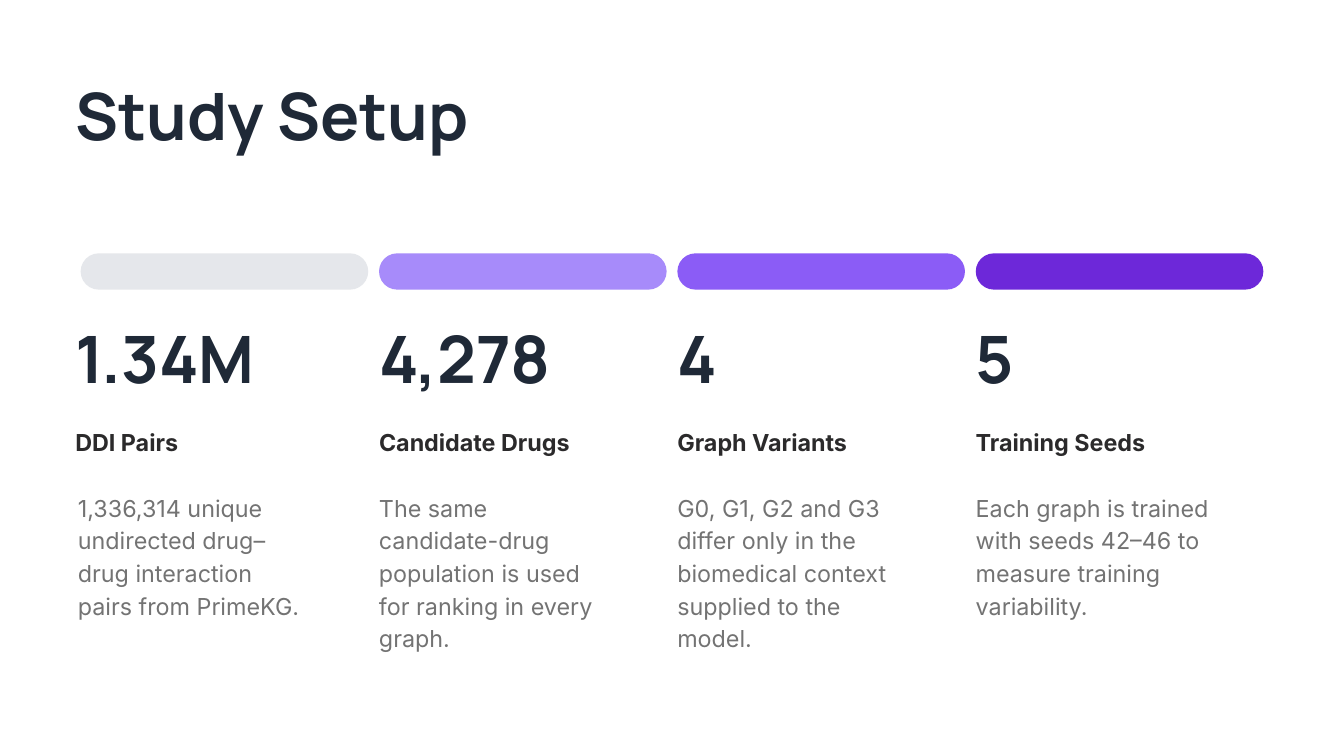
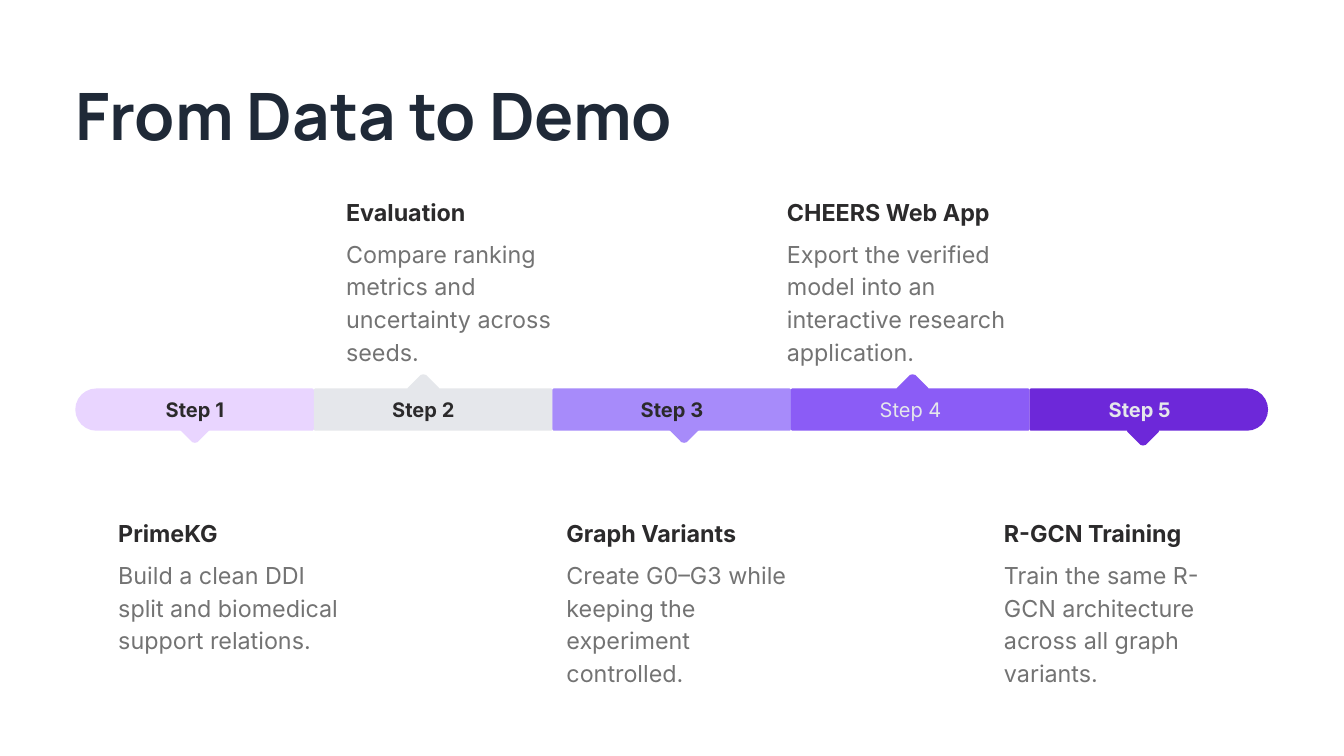
from dataclasses import dataclass

from pptx import Presentation
from pptx import util as u
from pptx.dml.color import RGBColor
from pptx.enum import shapes, text


@dataclass(frozen=True)
class Theme:
    """Colours, fonts and type sizes shared by both slides."""
    ink: str = "1F2937"
    heading: str = "2B2A2B"
    body: str = "737373"
    grey: str = "E5E7EB"
    pale: str = "E9D5FF"
    lilac: str = "A78BFA"
    violet: str = "8B5CF6"
    purple: str = "6D28D9"
    display_font: str = "Manrope"
    text_font: str = "Inter"
    display_size: float = 70
    text_size: float = 25
    step_size: float = 21.5
    leading: float = 1.4
    margin: float = 1.12


THEME = Theme()
LINE = THEME.text_size * THEME.leading / 72
BAR_TOP, BAR_HEIGHT, BAR_STEP = 5.78, 0.63, 3.55
POINTER = [(-0.22, 0), (0.22, 0), (0.24, 0.02), (0.23, 0.04), (0.04, 0.23),
           (0, 0.24), (-0.04, 0.23), (-0.23, 0.04), (-0.24, 0.02)]


def add_text(page, words, left, top, width, lines=1, size=THEME.text_size,
             font=THEME.text_font, color=THEME.body, bold=False,
             align=text.PP_ALIGN.LEFT):
    """Add a text box without margins whose height follows its line count."""
    height = lines * size * THEME.leading / 72
    box = page.shapes.add_textbox(*map(u.Inches, (left, top, width, height)))
    frame = box.text_frame
    frame.margin_left = frame.margin_right = 0
    frame.margin_top = frame.margin_bottom = 0
    frame.word_wrap = True
    frame.auto_size = text.MSO_AUTO_SIZE.SHAPE_TO_FIT_TEXT
    para = frame.paragraphs[0]
    para.alignment = align
    para.line_spacing = u.Pt(round(size * THEME.leading, 1))
    span = para.add_run()
    span.text = words
    span.font.name = font
    span.font.size = u.Pt(size)
    span.font.bold = bold
    span.font.color.rgb = RGBColor.from_string(color)


def add_display(page, words, left, top, width, lines=1):
    """Add large text in the title style."""
    add_text(page, words, left, top, width, lines, size=THEME.display_size,
             font=THEME.display_font, color=THEME.ink, bold=True)


def add_heading(page, words, left, top, width):
    """Add a bold heading."""
    add_text(page, words, left, top, width, color=THEME.heading, bold=True)


def add_page(deck, title, width, lines=1):
    """Add a blank slide with its title."""
    page = deck.slides.add_slide(deck.slide_layouts[6])
    add_display(page, title, THEME.margin, 0.92, width, lines)
    return page


def paint(shape, color):
    """Give a shape a flat fill without line or shadow."""
    shape.shadow.inherit = False
    shape.fill.solid()
    shape.fill.fore_color.rgb = RGBColor.from_string(color)
    shape.line.fill.background()


def add_bar(page, left, top, width, height, color, rounding):
    """Add a rounded bar."""
    bar = page.shapes.add_shape(shapes.MSO_SHAPE.ROUNDED_RECTANGLE,
                                *map(u.Inches, (left, top, width, height)))
    bar.adjustments[0] = rounding
    paint(bar, color)


def add_end_bar(page, left, top, width, height, color, turn):
    """Add a bar with one round end by turning an upright shape."""
    shift = (width - height) / 2
    bar = page.shapes.add_shape(shapes.MSO_SHAPE.ROUND_2_SAME_RECTANGLE,
                                *map(u.Inches, (left + shift, top - shift, height, width)))
    bar.adjustments[0], bar.adjustments[1] = 0.5, 0.04
    bar.rotation = turn
    paint(bar, color)


def add_pointer(page, center, base, color, direction):
    """Add a blunt triangle that points down (1) or up (-1)."""
    points = [(u.Inches(center + x), u.Inches(base + direction * y)) for x, y in POINTER]
    outline = page.shapes.build_freeform(*points[0])
    outline.add_line_segments(points[1:], close=True)
    paint(outline.convert_to_shape(), color)


def add_setup(deck):
    """Build the slide with four key figures."""
    page = add_page(deck, "Study Setup", 7.52)
    figures = [
        (THEME.grey, "1.34M", "DDI Pairs", 4,
         "1,336,314 unique undirected drug–drug interaction pairs from PrimeKG."),
        (THEME.lilac, "4,278", "Candidate Drugs", 5,
         "The same candidate-drug population is used for ranking in every graph."),
        (THEME.violet, "4", "Graph Variants", 5,
         "G0, G1, G2 and G3 differ only in the biomedical context supplied to the model."),
        (THEME.purple, "5", "Training Seeds", 4,
         "Each graph is trained with seeds 42–46 to measure training variability."),
    ]
    for index, (color, number, heading, lines, body) in enumerate(figures):
        left = 1.2 + 4.44 * index
        edge, body_edge = (left, left) if index else (THEME.margin, 1.16)
        add_bar(page, left, 3.77, 4.28, 0.54, color, 0.5)
        add_display(page, number, edge, 4.54, 4.28)
        add_heading(page, heading, edge, 6.3, 4.28)
        add_text(page, body, body_edge, 7.28, 3.47, lines)


def add_step(page, index, color, pointer, label, label_color, bold):
    """Add one segment of the step bar with its pointer and label."""
    left = THEME.margin + BAR_STEP * index
    area = (left, BAR_TOP, BAR_STEP, BAR_HEIGHT, color)
    if index in (0, 4):
        add_end_bar(page, *area, turn=90 if index else 270)
    else:
        add_bar(page, *area, rounding=0.04)
    upward = index % 2
    base = 5.81 if upward else 6.39 if index == 4 else 6.35
    add_pointer(page, pointer, base, color, -1 if upward else 1)
    add_text(page, f"Step {index + 1}", label, 5.86, 2.64, size=THEME.step_size,
             color=label_color, bold=bold, align=text.PP_ALIGN.CENTER)


def add_process(deck):
    """Build the slide with the five-step process."""
    page = add_page(deck, "From Data to Demo", 8.88, lines=2)
    steps = [
        (THEME.pale, 2.9, 1.58, THEME.heading, True),
        (THEME.grey, 6.3, 4.98, THEME.heading, True),
        (THEME.lilac, 10.18, 8.68, THEME.heading, True),
        (THEME.violet, 13.58, 12.23, THEME.grey, False),
        (THEME.purple, 17.01, 15.64, THEME.grey, True),
    ]
    for index, step in enumerate(steps):
        add_step(page, index, *step)
    notes = [
        (1.76, 7.66, "PrimeKG", 3,
         "Build a clean DDI split and biomedical support relations."),
        (8.43, 7.66, "Graph Variants", 4,
         "Create G0–G3 while keeping the experiment controlled."),
        (14.94, 7.66, "R-GCN Training", 4,
         "Train the same R-GCN architecture across all graph variants."),
        (5.15, 2.88, "Evaluation", 4,
         "Compare ranking metrics and uncertainty across seeds."),
        (11.71, 2.88, "CHEERS Web App", 4,
         "Export the verified model into an interactive research application."),
    ]
    for left, top, heading, lines, body in notes:
        add_heading(page, heading, left, top, 3.16)
        add_text(page, body, left, top + 0.62, 3.47, lines)


def main():
    """Build and save the deck."""
    deck = Presentation()
    deck.slide_width, deck.slide_height = u.Inches(20), u.Inches(11.25)
    add_setup(deck)
    add_process(deck)
    deck.save("out.pptx")


if __name__ == "__main__":
    main()
